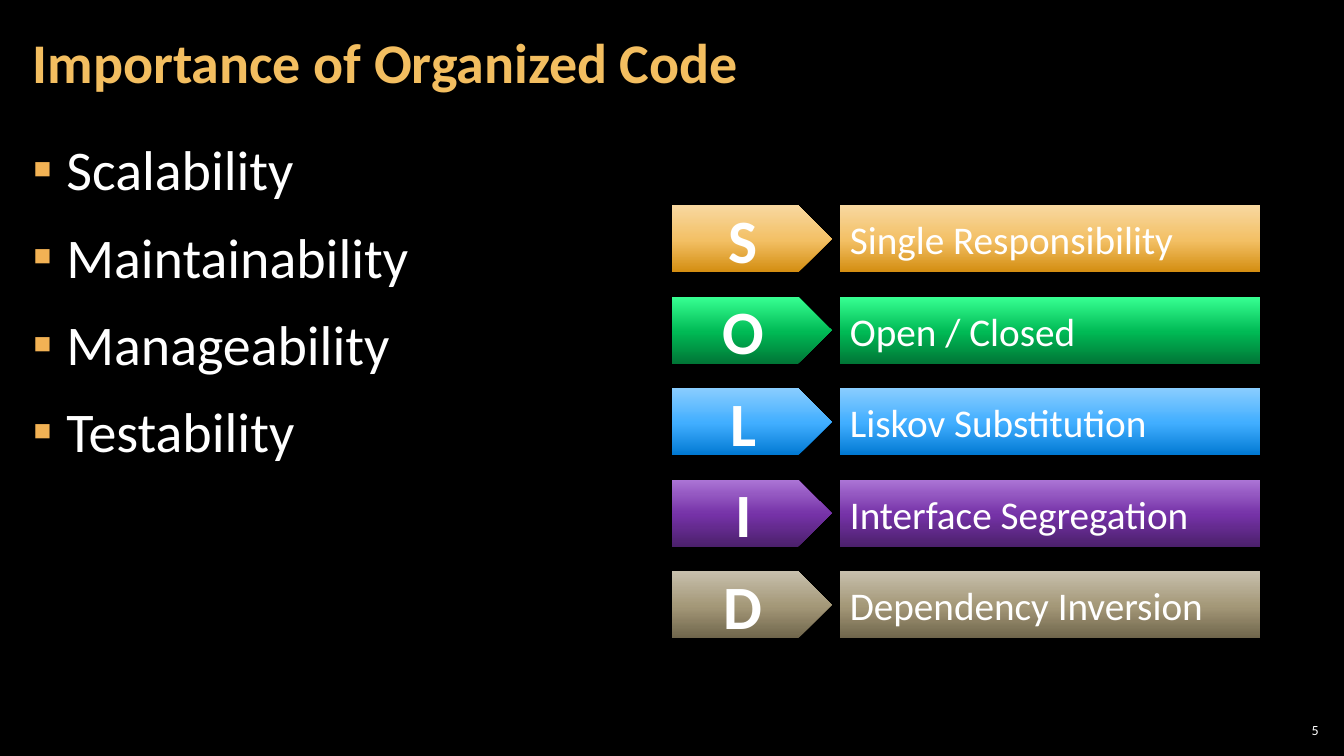
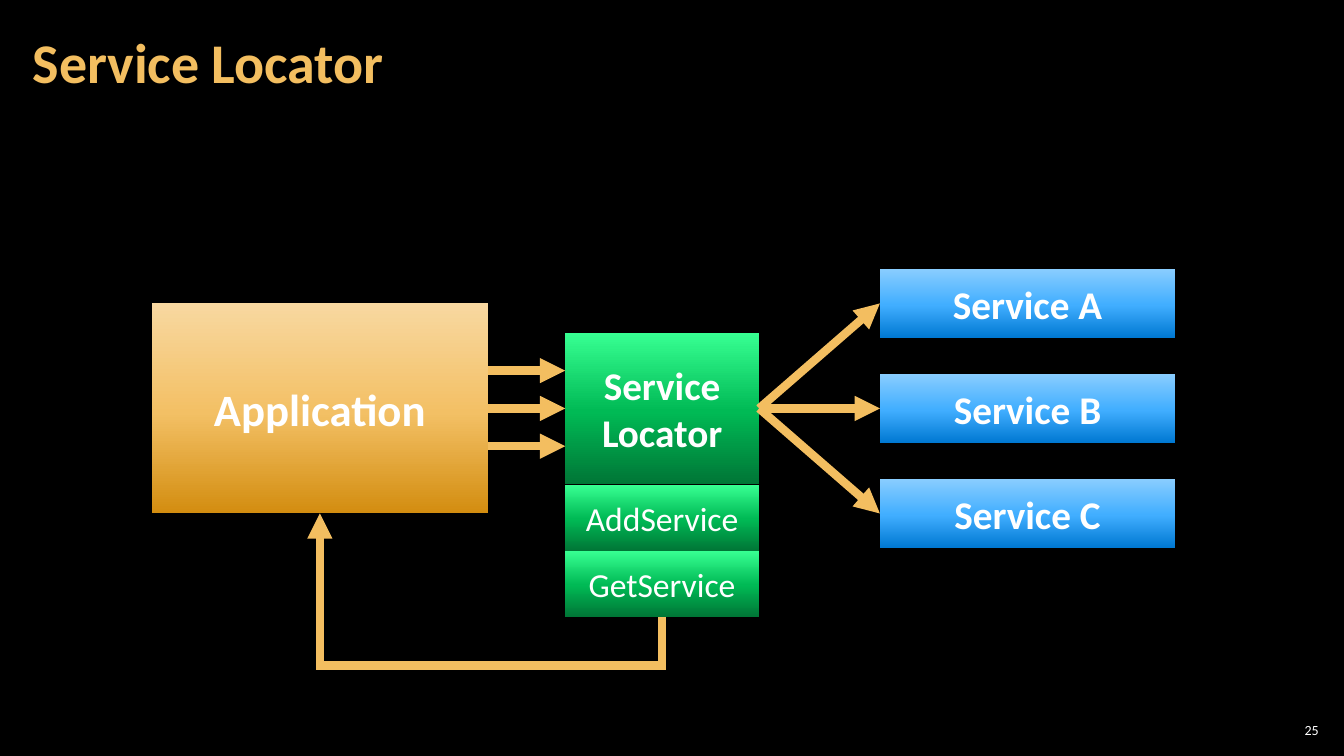
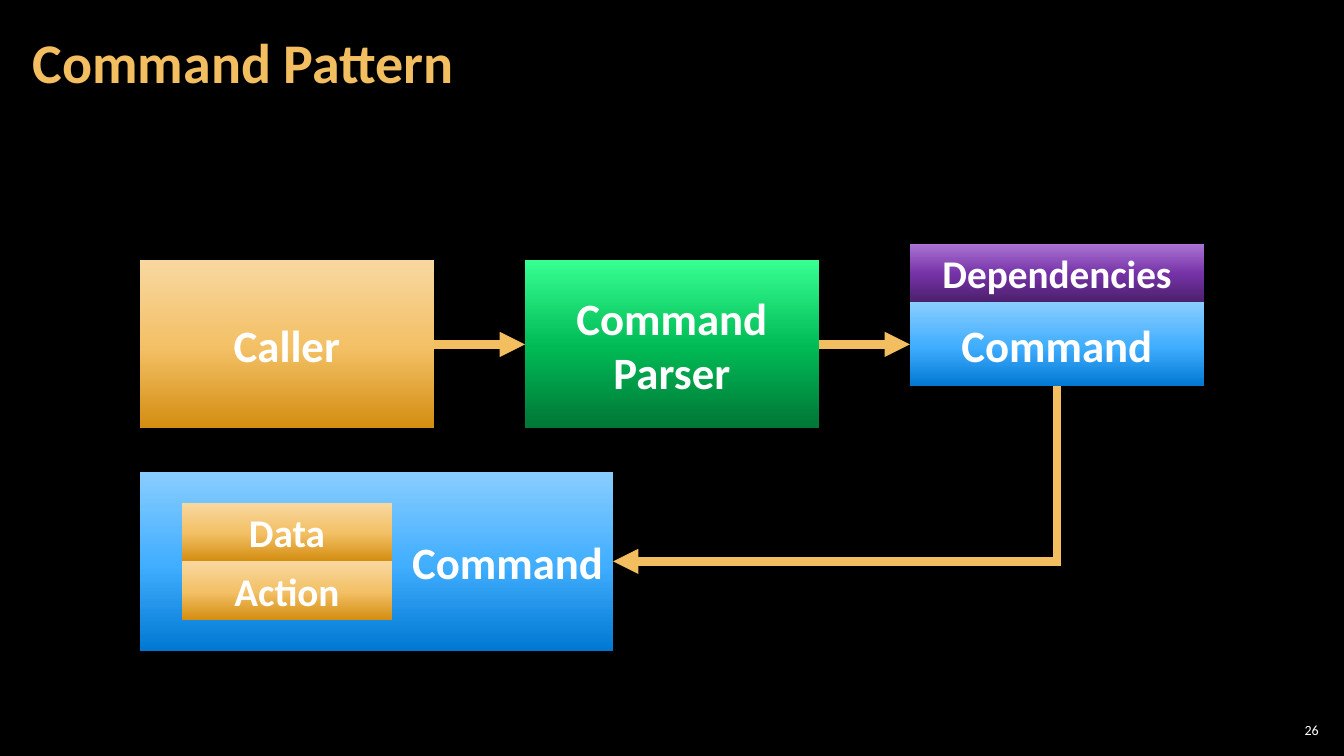
from copy import deepcopy

from lxml.etree import SubElement
from pptx import Presentation
from pptx.dml.color import RGBColor
from pptx.enum.shapes import MSO_CONNECTOR as Connector, MSO_SHAPE as Preset
from pptx.enum.text import MSO_ANCHOR as Anchor, PP_ALIGN as Align
from pptx.oxml.ns import qn
from pptx.util import Pt

COLORS = {"background": "000000", "text": "FFFFFF", "accent": "F3BE60", "bullet": "F2B254"}
GRADIENTS = {  # bottom, middle, top
    "orange": ("D38D10", "F3C065", "F8D8A0"),
    "green": ("007636", "00BA55", "37FF92"),
    "blue": ("0078D2", "41AEFF", "89CDFF"),
    "purple": ("4B206B", "7532A7", "AB74D5"),
    "tan": ("6F654B", "A49878", "C7BFAC"),
}
STOP_POSITIONS = (0, 0.48, 1)

MIDDLE = {"vertical_anchor": Anchor.MIDDLE}
WIDE_MARGINS = {"margin_left": Pt(8.4), "margin_right": Pt(8.4),
                "margin_top": Pt(3), "margin_bottom": Pt(3)}
SMALL_MARGINS = {side: Pt(3) for side in WIDE_MARGINS}
CENTER = {"alignment": Align.CENTER}
STYLES = {
    "title": {"frame": MIDDLE | WIDE_MARGINS, "paragraph": {"line_spacing": 0.9},
              "font": {"size": Pt(40), "bold": True}, "color": "accent"},
    "number": {"frame": MIDDLE | SMALL_MARGINS, "paragraph": {"alignment": Align.RIGHT},
               "font": {"size": Pt(10)}},
    "bullets": {"frame": WIDE_MARGINS,
                "paragraph": {"line_spacing": 1.05, "space_before": Pt(6), "space_after": Pt(6)},
                "font": {"size": Pt(40)}},
    "letter": {"frame": MIDDLE, "paragraph": CENTER, "font": {"size": Pt(44), "bold": True}},
    "principle": {"frame": MIDDLE, "paragraph": {"alignment": Align.LEFT},
                  "font": {"size": Pt(28)}},
    "large": {"frame": MIDDLE, "paragraph": CENTER, "font": {"size": Pt(32), "bold": True}},
    "large right": {"frame": MIDDLE, "paragraph": {"alignment": Align.RIGHT},
                    "font": {"size": Pt(32), "bold": True}},
    "medium": {"frame": MIDDLE, "paragraph": CENTER, "font": {"size": Pt(28), "bold": True}},
    "method": {"frame": MIDDLE, "paragraph": CENTER, "font": {"size": Pt(24)}},
}


def add_box(slide, bounds, text, style_name, gradient=None, preset=Preset.RECTANGLE):
    """Add a gradient shape, or a plain text box when no gradient is named."""
    bounds = [Pt(length) for length in bounds]
    if gradient:
        shape = slide.shapes.add_shape(preset, *bounds)
        shape.shadow.inherit = False
        shape.line.fill.background()
        shape.fill.gradient()
        shape.fill.gradient_angle = 90
        stop_list = shape._element.spPr.find(qn("a:gradFill")).find(qn("a:gsLst"))
        stop_list.append(deepcopy(stop_list[0]))
        stops = zip(shape.fill.gradient_stops, STOP_POSITIONS, GRADIENTS[gradient])
        for stop, position, color in stops:
            stop.position = position
            stop.color.rgb = RGBColor.from_string(color)
    else:
        shape = slide.shapes.add_textbox(*bounds)

    style = STYLES[style_name]
    frame = shape.text_frame
    frame.word_wrap = True
    frame.text = text
    targets = [(frame, style["frame"])]
    for paragraph in frame.paragraphs:
        font = paragraph.runs[0].font
        font.color.rgb = RGBColor.from_string(COLORS[style.get("color", "text")])
        targets += [(paragraph, style["paragraph"]), (font, {"name": "Calibri"} | style["font"])]
    for target, values in targets:
        for name, value in values.items():
            setattr(target, name, value)
    return shape


def add_arrow(slide, start, end, elbow=None, bend=None):
    """Add an arrow; an elbow preset leaves its start vertically, turning at the bend ratio."""
    points = [start, end]
    if elbow:
        # A quarter turn about the centre brings these points back to start and end.
        center_x, center_y = (start[0] + end[0]) / 2, (start[1] + end[1]) / 2
        points = [(center_x + y - center_y, center_y - x + center_x) for x, y in points]
    lengths = [Pt(length) for point in points for length in point]
    kind = Connector.ELBOW if elbow else Connector.STRAIGHT
    arrow = slide.shapes.add_connector(kind, *lengths)
    arrow.line.width = Pt(6)
    arrow.line.color.rgb = RGBColor.from_string(COLORS["accent"])
    properties = arrow._element.spPr
    if elbow:
        properties.find(qn("a:xfrm")).set("rot", "5400000")
        geometry = properties.find(qn("a:prstGeom"))
        geometry.set("prst", elbow)
        if bend is not None:
            adjustments = geometry.find(qn("a:avLst"))
            SubElement(adjustments, qn("a:gd"), name="adj1", fmla=f"val {round(bend * 100000)}")
    line = properties.find(qn("a:ln"))
    SubElement(line, qn("a:miter"), lim="800000")
    SubElement(line, qn("a:tailEnd"), type="triangle")
    SubElement(properties, qn("a:effectLst"))


presentation = Presentation()
presentation.slide_width, presentation.slide_height = Pt(960), Pt(540)
background = presentation.slide_master.background.fill
background.solid()
background.fore_color.rgb = RGBColor.from_string(COLORS["background"])

slides = []
for title, number in (("Importance of Organized Code", "5"),
                      ("Service Locator", "25"),
                      ("Command Pattern", "26")):
    slide = presentation.slides.add_slide(presentation.slide_layouts[6])
    add_box(slide, (15, 3, 754, 87), title, "title")
    add_box(slide, (911, 514, 34, 15), number, "number")
    slides.append(slide)
code_slide, locator_slide, command_slide = slides

# Importance of Organized Code
benefits = add_box(code_slide, (15, 91, 930, 438),
                   "Scalability\nMaintainability\nManageability\nTestability", "bullets")
for paragraph in benefits.text_frame.paragraphs:
    properties = paragraph._p.get_or_add_pPr()
    properties.set("marL", str(Pt(24)))
    properties.set("indent", str(-Pt(24)))
    bullet_color = SubElement(properties, qn("a:buClr"))
    SubElement(bullet_color, qn("a:srgbClr"), val=COLORS["bullet"])
    SubElement(properties, qn("a:buFont"), typeface="Calibri")
    SubElement(properties, qn("a:buChar"), char="▪")

principles = ("Single Responsibility", "Open / Closed", "Liskov Substitution",
              "Interface Segregation", "Dependency Inversion")
for row, (principle, gradient) in enumerate(zip(principles, GRADIENTS)):
    top = 146.6 + 65.35 * row
    add_box(code_slide, (480, top, 114, 48), principle[0], "letter", gradient, Preset.PENTAGON)
    add_box(code_slide, (600, top, 300, 48), principle, "principle", gradient)

# Service Locator
middle = 291.75
app_left, app_width, app_height = 108.5, 240, 150
locator_left, locator_width, locator_height = 403.75, 138.5, 108
service_left, service_height, service_step = 628.5, 49.5, 75
app_right, locator_right = app_left + app_width, locator_left + locator_width
app_bottom = middle + app_height / 2

add_box(locator_slide, (app_left, middle - app_height / 2, app_width, app_height),
        "Application", "large", "orange")
add_box(locator_slide, (locator_left, middle - locator_height / 2, locator_width, locator_height),
        "Service Locator", "medium", "green")
for offset, letter in zip((-1, 0, 1), "ABC"):
    center = middle + service_step * offset
    add_box(locator_slide, (service_left, center - service_height / 2, 211, service_height),
            f"Service {letter}", "medium", "blue")
    add_arrow(locator_slide, (locator_right, middle), (service_left, center))
    request = middle + 27 * offset
    add_arrow(locator_slide, (app_right, request), (locator_left, request))

method_top, method_height = 346.25, 47.2
for row, method in enumerate(("AddService", "GetService")):
    bounds = (locator_left, method_top + method_height * row, locator_width, method_height)
    add_box(locator_slide, bounds, method, "method", "green")
methods_bottom = method_top + 2 * method_height
return_level = 475.2
add_arrow(locator_slide, (locator_left + locator_width / 2, methods_bottom),
          (app_left + app_width / 2, app_bottom), "bentConnector3",
          (return_level - methods_bottom) / (app_bottom - methods_bottom))

# Command Pattern
column_left, column_step, column_width = 100, 275, 210
caller_left, parser_left, command_left = (column_left + column_step * i for i in range(3))
for bounds, text, style_name, gradient in (
    ((command_left, 174, column_width, 42), "Dependencies", "medium", "purple"),
    ((caller_left, 186, column_width, 120), "Caller", "large", "orange"),
    ((parser_left, 186, column_width, 120), "Command Parser", "large", "green"),
    ((command_left, 216, column_width, 60), "Command", "large", "blue"),
    ((caller_left, 337, 338, 128), "Command", "large right", "blue"),
    ((130, 359, 150, 42), "Data", "medium", "orange"),
    ((130, 401, 150, 42), "Action", "medium", "orange"),
):
    add_box(command_slide, bounds, text, style_name, gradient)
for left in (caller_left, parser_left):
    add_arrow(command_slide, (left + column_width, 246), (left + column_step, 246))
add_arrow(command_slide, (command_left + column_width / 2, 276), (caller_left + 338, 401),
          "bentConnector2")

presentation.save("out.pptx")
